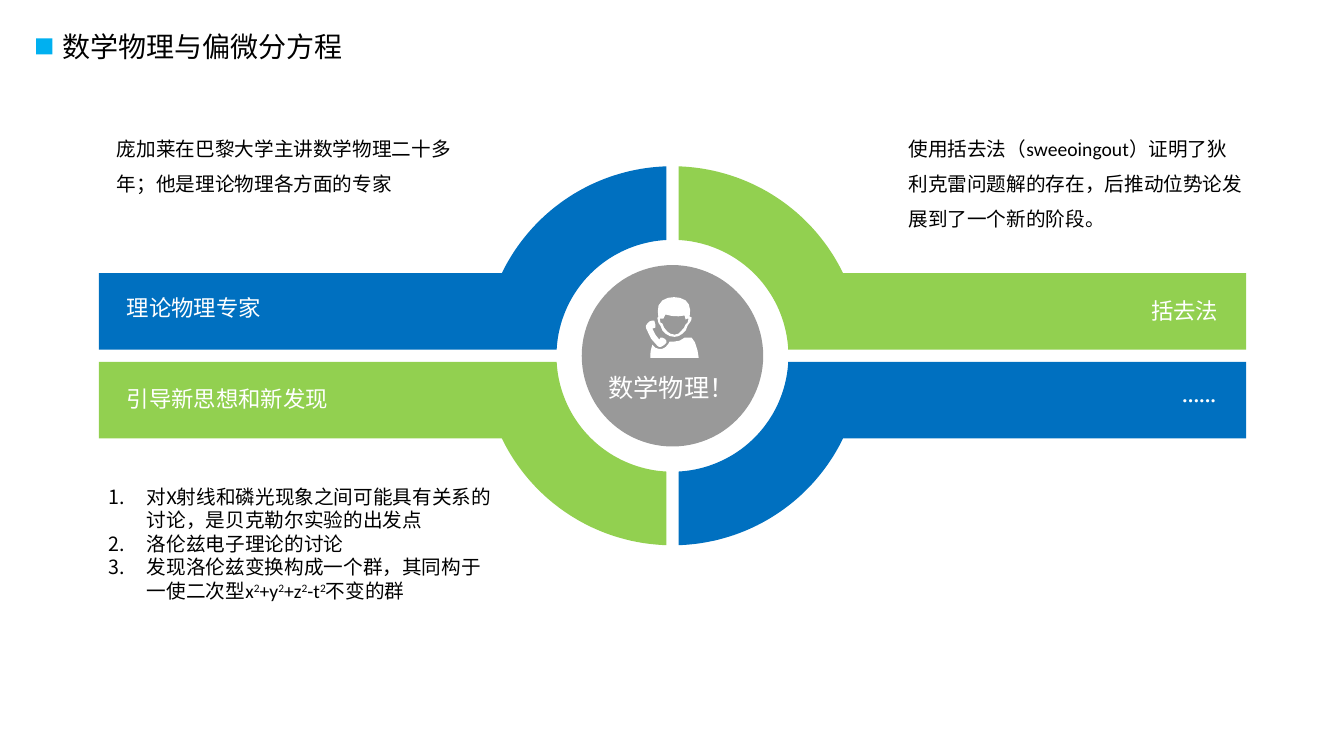
from dataclasses import dataclass
from math import asin, acos, cos, sin, sqrt

from lxml.etree import SubElement
from pptx import Presentation
from pptx.dml.color import RGBColor
from pptx.enum.shapes import MSO_SHAPE
from pptx.enum.text import MSO_ANCHOR, PP_ALIGN
from pptx.oxml.ns import qn
from pptx.util import Inches, Pt


@dataclass(frozen=True)
class Theme:
    blue: str = "0070C0"
    green: str = "92D050"
    marker: str = "00B0F0"
    black: str = "000000"
    white: str = "FFFFFF"
    latin: str = "Calibri"
    cjk: str = "Noto Sans CJK SC"
    title: int = 20
    hub: int = 18
    label: int = 16
    body: int = 14


THEME = Theme()
CENTER_X, CENTER_Y = 6.67, 3.53
OUTER, INNER = 1.88, 1.15
HALF_GAP, ARM_EDGE, ARM_END = 0.06, 0.82, 5.69
ARC_STEPS = 40

CALLER_LEFT, CALLER_TOP = 6.4, 2.94
CALLER_OUTLINES = [
    [(440, 200), (460, 210), (455, 240), (440, 262), (420, 290), (402, 338),
     (370, 370), (330, 395), (290, 402), (245, 395), (200, 370), (170, 338),
     (150, 290), (132, 265), (120, 215), (130, 200), (125, 150), (132, 90),
     (170, 40), (225, 15), (285, 8), (345, 15), (400, 40), (432, 80), (445, 135)],
    [(420, 220), (400, 230), (390, 190), (330, 198), (265, 195), (200, 180),
     (180, 220), (145, 220), (150, 260), (170, 270), (188, 312), (220, 350),
     (250, 371), (290, 380), (328, 371), (350, 350), (384, 312), (400, 280),
     (410, 270), (420, 260), (430, 220)],
    [(120, 490), (138, 502), (160, 500), (188, 482), (210, 460), (210, 440),
     (195, 422), (170, 410), (150, 410), (140, 430), (103, 384), (70, 320),
     (100, 310), (100, 280), (90, 240), (70, 240), (40, 250), (20, 270),
     (5, 295), (10, 320), (58, 420)],
    [(240, 450), (280, 450), (340, 440), (390, 410), (460, 410), (492, 455),
     (518, 535), (530, 610), (50, 610), (53, 545), (70, 480), (100, 510),
     (135, 522), (170, 520), (202, 503), (230, 470)],
]


def rgb(value):
    return RGBColor.from_string(value)


def paint(sp, color):
    sp.shadow.inherit = False
    sp.fill.solid()
    sp.fill.fore_color.rgb = rgb(color)
    sp.line.fill.background()


def add_run(p, text, size, color, latin=THEME.latin, baseline=0):
    r = p.add_run()
    r.text = text
    r.font.size = Pt(size)
    r.font.name = latin
    r.font.color.rgb = rgb(color)
    props = r._r.get_or_add_rPr()
    SubElement(props, qn("a:ea")).set("typeface", THEME.cjk)
    if baseline:
        props.set("baseline", str(baseline))


def add_box(s, left, top, width, height, wrap=True, side_inset=0.1):
    box = s.shapes.add_textbox(Inches(left), Inches(top), Inches(width), Inches(height))
    tf = box.text_frame
    tf.word_wrap = wrap
    tf.margin_left = tf.margin_right = Inches(side_inset)
    return tf


def add_label(s, text, left, top, width, height=0.37, size=THEME.label, align=PP_ALIGN.LEFT):
    p = add_box(s, left, top, width, height, wrap=False).paragraphs[0]
    p.alignment = align
    add_run(p, text, size, THEME.white)


def add_note(s, text, left, height, latin):
    p = add_box(s, left, 1.19, 3.34, height, side_inset=0).paragraphs[0]
    p.line_spacing = 1.5
    add_run(p, text, THEME.body, THEME.black, latin)


def add_outline(s, outlines, color):
    builder = None
    for first, *rest in outlines:
        start = [Inches(v) for v in first]
        if builder is None:
            builder = s.shapes.build_freeform(*start)
        else:
            builder.move_to(*start)
        builder.add_line_segments([(Inches(x), Inches(y)) for x, y in rest])
    paint(builder.convert_to_shape(), color)


def arc(radius, start, end):
    angles = [start + (end - start) * i / ARC_STEPS for i in range(ARC_STEPS + 1)]
    return [(radius * cos(a), radius * sin(a)) for a in angles]


def add_arm(s, side, row, color):
    points = arc(OUTER, acos(HALF_GAP / OUTER), asin(ARM_EDGE / OUTER))
    points += [(ARM_END, ARM_EDGE), (ARM_END, HALF_GAP)]
    points += arc(INNER, asin(HALF_GAP / INNER), acos(HALF_GAP / INNER))
    add_outline(s, [[(CENTER_X + side * x, CENTER_Y + row * y) for x, y in points]], color)


def add_title(s, text):
    marker = s.shapes.add_shape(MSO_SHAPE.RECTANGLE, Inches(0.36), Inches(0.38),
                                Inches(0.16), Inches(0.16))
    paint(marker, THEME.marker)
    title = s.shapes.title
    title.left, title.top = Inches(0.52), Inches(0.24)
    title.width, title.height = Inches(3.01), Inches(0.44)
    tf = title.text_frame
    tf.word_wrap = False
    tf.vertical_anchor = MSO_ANCHOR.MIDDLE
    p = tf.paragraphs[0]
    p.alignment = PP_ALIGN.LEFT
    add_run(p, text, THEME.title, THEME.black, THEME.cjk)


def add_hub(s):
    hub = s.shapes.add_shape(MSO_SHAPE.OVAL, Inches(5.77), Inches(2.63),
                             Inches(1.8), Inches(1.8))
    paint(hub, THEME.black)
    color = hub._element.spPr.find(qn("a:solidFill"))[0]
    SubElement(color, qn("a:alpha")).set("val", "40000")
    add_outline(s, [[(CALLER_LEFT + x / 1000, CALLER_TOP + y / 1000) for x, y in outline]
                    for outline in CALLER_OUTLINES], THEME.white)
    add_label(s, "数学物理！", 5.93, 3.64, 1.46, 0.4, THEME.hub, PP_ALIGN.CENTER)


def add_numbered(s, items):
    tf = add_box(s, 0.98, 4.76, 4.04, 1.28)
    for i, runs in enumerate(items):
        p = tf.add_paragraph() if i else tf.paragraphs[0]
        props = p._p.get_or_add_pPr()
        props.set("marL", str(Inches(0.38)))
        props.set("indent", str(-Inches(0.38)))
        SubElement(props, qn("a:buFont")).set("typeface", "+mj-lt")
        SubElement(props, qn("a:buAutoNum")).set("type", "arabicPeriod")
        for text, baseline in runs:
            add_run(p, text, THEME.body, THEME.black, baseline=baseline)


def main():
    prs = Presentation()
    prs.slide_width, prs.slide_height = Inches(13.33), Inches(7.5)
    s = prs.slides.add_slide(prs.slide_layouts[5])
    add_title(s, "数学物理与偏微分方程")

    for side, row, color in [(-1, -1, THEME.blue), (-1, 1, THEME.green),
                             (1, -1, THEME.green), (1, 1, THEME.blue)]:
        add_arm(s, side, row, color)
    add_label(s, "理论物理专家", 1.16, 2.87, 1.55)
    add_label(s, "引导新思想和新发现", 1.16, 3.77, 2.22)
    add_label(s, "括去法", 11.06, 2.9, 1.12, align=PP_ALIGN.RIGHT)
    add_label(s, "······", 11.62, 3.77, 0.54, align=PP_ALIGN.RIGHT)
    add_hub(s)

    add_note(s, "庞加莱在巴黎大学主讲数学物理二十多年；他是理论物理各方面的专家",
             1.16, 0.77, THEME.cjk)
    add_note(s, "使用括去法（sweeoingout）证明了狄利克雷问题解的存在，后推动位势论发展到了一个新的阶段。",
             9.01, 1.12, THEME.latin)
    square = ("2", 30000)
    add_numbered(s, [
        [("对X射线和磷光现象之间可能具有关系的讨论，是贝克勒尔实验的出发点", 0)],
        [("洛伦兹电子理论的讨论", 0)],
        [("发现洛伦兹变换构成一个群，其同构于一使二次型x", 0), square, ("+y", 0), square,
         ("+z", 0), square, ("-t", 0), square, ("不变的群", 0)],
    ])
    prs.save("out.pptx")


if __name__ == "__main__":
    main()
